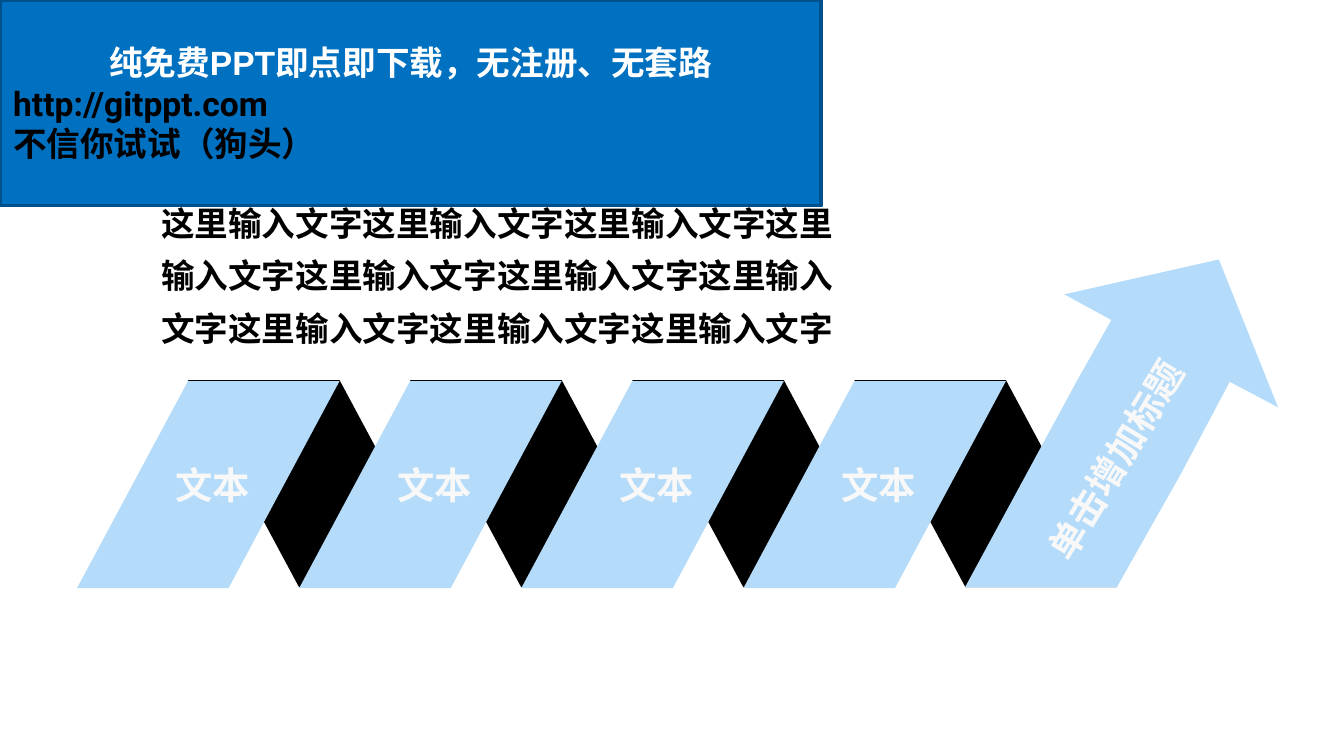
from dataclasses import dataclass

from lxml import etree
from pptx import Presentation
from pptx.dml.color import RGBColor
from pptx.enum.shapes import MSO_SHAPE
from pptx.enum.text import MSO_ANCHOR, MSO_AUTO_SIZE, PP_ALIGN
from pptx.oxml.ns import qn
from pptx.util import Pt

SLANT = MSO_SHAPE.PARALLELOGRAM
RECT = MSO_SHAPE.RECTANGLE
GROW = MSO_AUTO_SIZE.SHAPE_TO_FIT_TEXT
MIDDLE = MSO_ANCHOR.MIDDLE
LEFT, CENTER = PP_ALIGN.LEFT, PP_ALIGN.CENTER


@dataclass(frozen=True)
class Theme:
    font: str = "Noto Sans CJK SC"
    head: str = "Arial"
    link: str = "Roboto"
    light: str = "B4DCFA"
    dark: str = "000000"
    pale: str = "F8F8F8"
    white: str = "FFFFFF"
    blue: str = "0070C0"
    edge: str = "00508C"
    label: int = 20
    body: int = 18


THEME = Theme()
COUNT = 4
STEP = 119
FOLD = (140.6, 110.9)
ARROW = [
    (653, 139), (684.7, 218.2), (658.8, 204.5), (632.9, 253.4),
    (598.3, 314.6), (517, 314.6), (576.7, 204.5), (595.4, 171.4),
    (570.2, 157.7),
]
LINES = [
    ("纯免费PPT即点即下载，无注册、无套路", CENTER, THEME.head, THEME.white),
    ("http://gitppt.com", LEFT, THEME.link, THEME.dark),
    ("不信你试试（狗头）", LEFT, THEME.link, THEME.dark),
]


def paint(shape, color):
    shape.shadow.inherit = False
    shape.fill.solid()
    shape.fill.fore_color.rgb = RGBColor.from_string(color)
    shape.line.fill.background()


def write(para, text, points, color, face=THEME.font):
    para.text = text
    font = para.font
    font.size = Pt(points)
    font.bold = True
    font.color.rgb = RGBColor.from_string(color)
    font.name = face
    props = para._p.pPr.find(qn("a:defRPr"))
    etree.SubElement(props, qn("a:ea"), typeface=THEME.font)


def add_block(shapes, kind, left, top, size, color):
    shape = shapes.add_shape(kind, Pt(left), Pt(top), *map(Pt, size))
    paint(shape, color)
    return shape


def add_fold(shapes, left, top, color, flip=False):
    shape = add_block(shapes, SLANT, left, top, FOLD, color)
    shape.adjustments[0] = 0.536
    if flip:
        shape._element.spPr.find(qn("a:xfrm")).set("flipH", "1")


def add_text(shapes, text, left, top, size, points, color, wrap=False):
    box = shapes.add_textbox(Pt(left), Pt(top), *map(Pt, size))
    frame = box.text_frame
    frame.word_wrap = wrap
    frame.auto_size = GROW
    write(frame.paragraphs[0], text, points, color)
    return box


def add_step(slide, left):
    group = slide.shapes.add_group_shape().shapes
    add_fold(group, left, 204.2, THEME.light)
    add_text(group, "文本", left + 45.5, 244, (58, 31.7),
             THEME.label, THEME.pale)


def add_arrow(slide):
    group = slide.shapes.add_group_shape().shapes
    start, *rest = [(Pt(x), Pt(y)) for x, y in ARROW]
    pen = group.build_freeform(*start)
    pen.add_line_segments(rest, close=True)
    paint(pen.convert_to_shape(), THEME.light)
    label = add_text(group, "单击增加标题", 530.6, 230.4, (134.6, 31.7),
                     THEME.label, THEME.pale)
    label.rotation = 301.1


def add_panel(slide):
    panel = add_block(slide.shapes, RECT, 0, 0, (440, 110.2), THEME.blue)
    panel.line.color.rgb = RGBColor.from_string(THEME.edge)
    panel.line.width = Pt(2)
    frame = panel.text_frame
    frame.word_wrap = True
    frame.vertical_anchor = MIDDLE
    for i, (text, align, face, color) in enumerate(LINES):
        para = frame.add_paragraph() if i else frame.paragraphs[0]
        para.alignment = align
        write(para, text, THEME.body, color, face)


def main():
    deck = Presentation()
    deck.slide_width, deck.slide_height = Pt(720), Pt(405)
    slide = deck.slides.add_slide(deck.slide_layouts[6])
    for i in range(COUNT):
        add_fold(slide.shapes, 100.8 + STEP * i, 203.7, THEME.dark, flip=True)
    for i in range(COUNT):
        add_step(slide, 41.3 + STEP * i)
    add_arrow(slide)
    intro = add_text(slide.shapes, "这里输入文字" * 10, 79.2, 98.6,
                     (378.7, 91.4), THEME.body, THEME.dark, wrap=True)
    intro.text_frame.paragraphs[0].line_spacing = 1.3
    add_panel(slide)
    deck.save("out.pptx")


if __name__ == "__main__":
    main()
